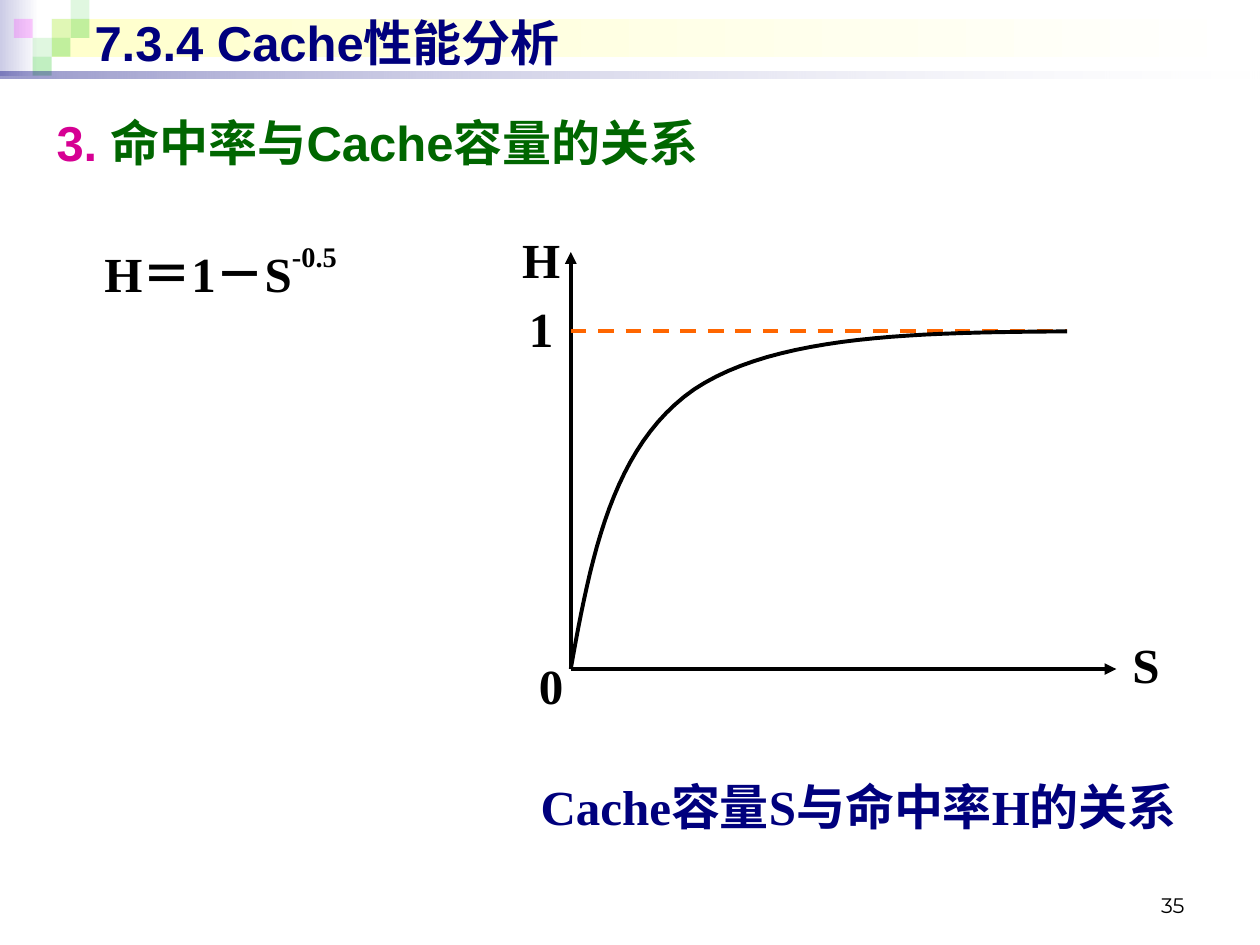
from pptx import Presentation
from pptx.util import Inches, Pt
from pptx.dml.color import RGBColor as Rgb
from pptx.enum.dml import MSO_LINE as Dash
from pptx.enum.shapes import MSO_SHAPE as Form, MSO_CONNECTOR as Link
from pptx.enum.text import MSO_ANCHOR as Anchor, PP_ALIGN as Align
from pptx.oxml.ns import qn
from lxml.etree import SubElement as Sub

theme = {
    "navy": "00007D", "pink": "D60093", "green": "006600", "black": "000000",
    "orange": "FF6600", "white": "FFFFFF", "lilac": "CCCCE6", "cream": "FFFFCC",
    "leaf": "33CC33", "rose": "FF00FF",
    "sans": "Arial", "serif": "Times New Roman", "page": "Montserrat",
    "big": Pt(28), "small": Pt(12), "line": Pt(2.25),
}

deck = Presentation()
deck.slide_width, deck.slide_height = Inches(10), Inches(7.5)
unit = deck.slide_width // 100
slide = deck.slides.add_slide(deck.slide_layouts[5])
shapes = slide.shapes
title = shapes.title


def grid(*vals):
    return [round(v * unit) for v in vals]


def write(para, text, hue, face="serif", size="big", bold=True):
    run = para.add_run()
    run.text = text
    form = {"name": theme[face], "size": theme[size], "bold": bold}
    for key, val in form.items():
        setattr(run.font, key, val)
    run.font.color.rgb = Rgb.from_string(theme[hue])
    return run


bands = [
    ((0, 0, 3.1, 6), (("white", 100), ("lilac", 100))),
    ((4.1, 1.5, 95.5, 3), (("white", 100), ("cream", 100))),
]
tile = 1.5
tiles = [
    (2, 1, "leaf", 15), (3, 0, "leaf", 15), (3, 1, "leaf", 30), (1, 2, "leaf", 15),
    (0, 1, "rose", 20), (2, 2, "leaf", 30), (1, 3, "leaf", 30),
]
bands += [((1.1 + col * tile, row * tile, tile, tile), ((hue, alpha),))
          for col, row, hue, alpha in tiles]
bands.append(((0, 5.7, 100, 0.5), (("white", 10), ("navy", 40))))

for place, hues in bands:
    rect = shapes.add_shape(Form.RECTANGLE, *grid(*place))
    rect.shadow.inherit = False
    rect.line.fill.background()
    if len(hues) == 2:
        rect.fill.gradient()
        rect.fill.gradient_angle = 180
        spots = [stop.color for stop in rect.fill.gradient_stops]
    else:
        rect.fill.solid()
        spots = [rect.fill.fore_color]
    for spot, (hue, alpha) in zip(spots, hues):
        spot.rgb = Rgb.from_string(theme[hue])
    for node, (hue, alpha) in zip(rect.fill._xPr.iter(qn("a:srgbClr")), hues):
        if alpha < 100:
            Sub(node, qn("a:alpha")).set("val", str(alpha * 1000))

shapes._spTree.append(title._element)
title.left, title.top, title.width, title.height = grid(6.5, 0.5, 90, 5.7)
title.text_frame.vertical_anchor = Anchor.MIDDLE
head = title.text_frame.paragraphs[0]
head.alignment = Align.LEFT
write(head, "7.3.4 Cache性能分析", "navy", "sans")

body = shapes.add_textbox(*grid(3.5, 8.4, 94.5, 61.4)).text_frame
body.word_wrap = True
topic, rule = body.paragraphs[0], body.add_paragraph()
for para, dent in ((topic, -3.8), (rule, 0)):
    prop = para._p.get_or_add_pPr()
    left, first = grid(3.8, dent)
    prop.set("marL", str(left))
    prop.set("indent", str(first))
write(topic, "3. ", "pink", "sans")
write(topic, "命中率与Cache容量的关系", "green", "sans")
rule.space_before = Pt(39)
write(rule, "H＝1－S", "black")
power = write(rule, "-0.5", "black")
power.font._element.set("baseline", "50000")

zero_x, zero_y, one_y, end_x = 45.3, 53.1, 26.3, 84.7
lines = [
    (88.6, zero_y, zero_y, "black", True),
    (zero_x, zero_y, 20, "black", True),
    (end_x, one_y, one_y, "orange", False),
]
for to_x, from_y, to_y, hue, arrow in lines:
    wire = shapes.add_connector(Link.STRAIGHT, *grid(zero_x, from_y, to_x, to_y))
    wire.line.width = theme["line"]
    wire.line.color.rgb = Rgb.from_string(theme[hue])
    if arrow:
        Sub(wire.line._get_or_add_ln(), qn("a:tailEnd")).set("type", "triangle")
    else:
        wire.line.dash_style = Dash.DASH
    Sub(wire._element.spPr, qn("a:effectLst"))

knots = [(zero_x, zero_y), (46.9, 44.2), (48.6, 35.4), (55.1, 30.9),
         (61.7, 26.5), (73.2, 26.4), (end_x, one_y)]
steps = 24
dots = []
for start in (0, 3):
    for step in range(1, steps + 1):
        t = step / steps
        share = ((1 - t) ** 3, 3 * t * (1 - t) ** 2, 3 * t * t * (1 - t), t ** 3)
        part = knots[start:start + 4]
        dots.append(grid(*(sum(s * k[axis] for s, k in zip(share, part))
                           for axis in (0, 1))))
pen = shapes.build_freeform(*grid(*knots[0]))
pen.add_line_segments(dots, close=False)
curve = pen.convert_to_shape()
curve.shadow.inherit = False
curve.fill.background()
curve.line.width = theme["line"]
curve.line.color.rgb = Rgb.from_string(theme["black"])

labels = [
    ((40.6, 61.1, 55.1, 10.4), "Cache容量S与命中率H的关系", "navy"),
    ((39.8, 17.7, 6.3, 5.7), "H", "black"),
    ((39.8, 23.2, 6.3, 5.7), "1", "black"),
    ((40.6, 51.5, 6.3, 5.7), "0", "black"),
    ((87.8, 49.9, 6.3, 5.7), "S", "black"),
]
for place, text, hue in labels:
    frame = shapes.add_textbox(*grid(*place)).text_frame
    frame.word_wrap = True
    frame.paragraphs[0].alignment = Align.CENTER
    write(frame.paragraphs[0], text, hue)

foot = shapes.add_textbox(*grid(71.7, 68.3, 23.3, 5)).text_frame
foot.word_wrap = True
foot.vertical_anchor = Anchor.BOTTOM
foot.paragraphs[0].alignment = Align.RIGHT
write(foot.paragraphs[0], "35", "black", "page", "small", False)

deck.save("out.pptx")
